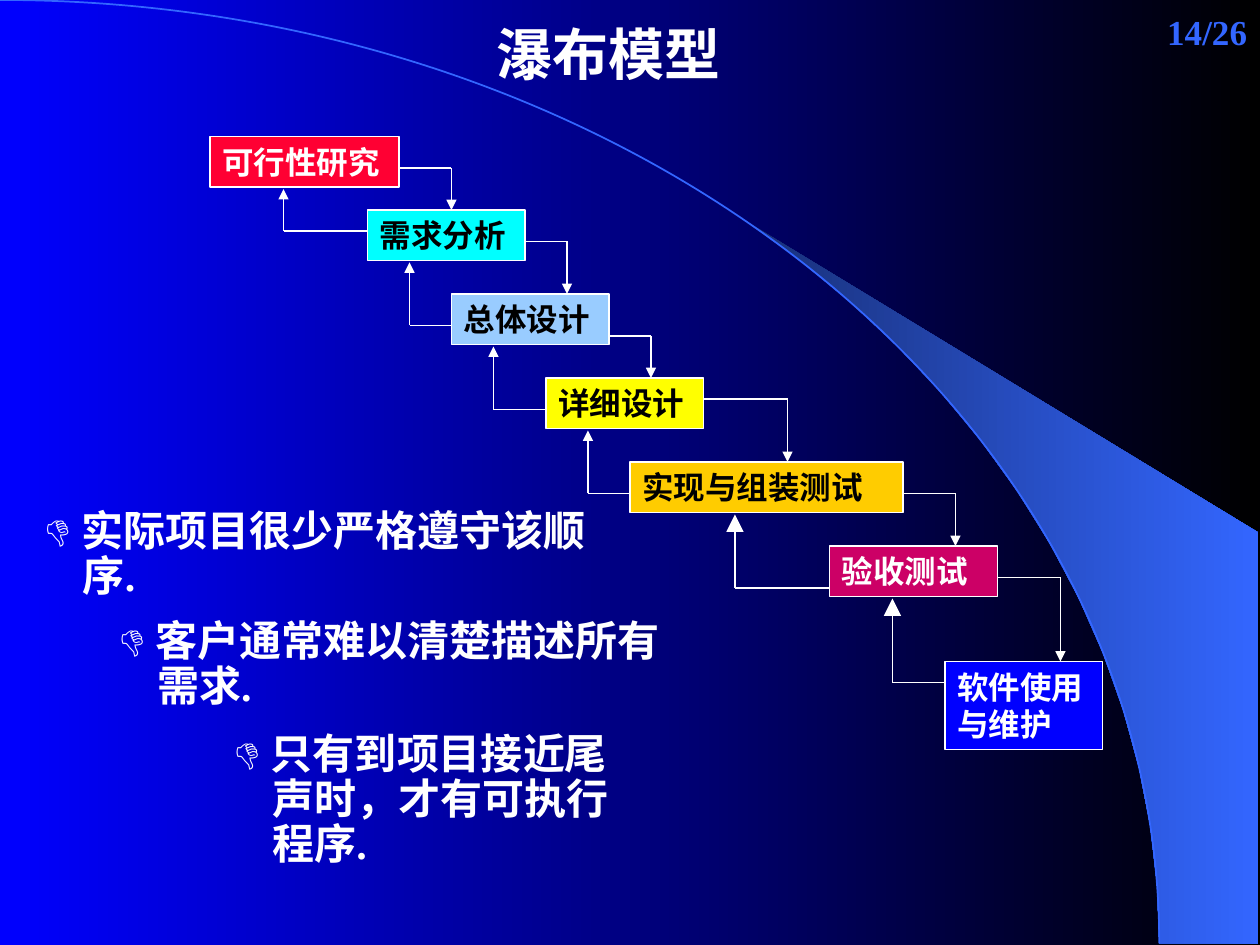
from dataclasses import dataclass
from math import cos, radians, sin

from lxml.etree import SubElement
from pptx import Presentation
from pptx.dml.color import RGBColor
from pptx.enum.shapes import MSO_CONNECTOR, MSO_SHAPE
from pptx.enum.text import MSO_ANCHOR as Anchor, MSO_AUTO_SIZE as AutoSize, PP_ALIGN as Align
from pptx.oxml.ns import qn
from pptx.util import Cm, Pt

COLORS = {
    "white": "FFFFFF", "black": "000000", "blue": "0000FF", "sky": "3366FF",
    "navy": "182F76", "red": "FF0033", "cyan": "00FFFF", "pale": "99CCFF",
    "yellow": "FFFF00", "amber": "FFCC00", "magenta": "CC0066",
}
GRID = 2.54 / 12
ARC_WIDTH, ARC_HEIGHT = 23.37, 19.02
SERIF, SANS = "Times New Roman", "Arial"
INSETS = ("margin_left", "margin_top", "margin_right", "margin_bottom")


@dataclass
class Stage:
    label: str
    column: int
    row: int
    columns: int
    fill: str
    ink: str
    height: float = 1.02


@dataclass
class Link:
    forward_row: int
    forward_column: int
    back_row: int
    back_column: int
    back_head: str = "med"


@dataclass
class Drawback:
    text: str
    left: float
    top: float
    width: float
    height: float


STAGES = [
    Stage("可行性研究", 20, 13, 18, "red", "white"),
    Stage("需求分析", 35, 20, 15, "cyan", "black"),
    Stage("总体设计", 43, 28, 15, "pale", "black"),
    Stage("详细设计", 52, 36, 15, "yellow", "black"),
    Stage("实现与组装测试", 60, 44, 26, "amber", "black"),
    Stage("验收测试", 79, 52, 16, "magenta", "white"),
    Stage("软件使用与维护", 90, 63, 15, "blue", "white", 1.78),
]
LINKS = [
    Link(16, 43, 22, 27),
    Link(23, 54, 31, 39),
    Link(32, 62, 39, 47),
    Link(38, 75, 47, 56),
    Link(47, 91, 56, 70, "lg"),
    Link(55, 101, 65, 85, "lg"),
]
DRAWBACKS = [
    Drawback("实际项目很少严格遵守该顺序.", 0.63, 10.16, 11.43, 2.08),
    Drawback("客户通常难以清楚描述所有需求.", 2.13, 12.37, 11.43, 2.08),
    Drawback("只有到项目接近尾声时，才有可执行程序.", 4.45, 14.65, 8.81, 3),
]


def rgb(name: str) -> RGBColor:
    return RGBColor.from_string(COLORS[name])


def apply(target, formats: dict) -> None:
    for attribute, value in formats.items():
        setattr(target, attribute, value)


def add_run(paragraph, text: str, size: int, face: str, ink: str) -> None:
    run = paragraph.add_run()
    run.text = text
    apply(run.font, {"size": Pt(size), "name": face, "bold": True})
    run.font.color.rgb = rgb(ink)


def add_text_area(slide, left: float, top: float, width: float, height: float, formats: dict):
    area = slide.shapes.add_textbox(Cm(left), Cm(top), Cm(width), Cm(height))
    apply(area.text_frame, {"word_wrap": True, **formats})
    return area.text_frame.paragraphs[0]


def paint_gradient(fill, start: str, end: str) -> None:
    fill.gradient()
    fill.gradient_angle = 0
    for stop, name in zip(fill.gradient_stops, (start, end)):
        stop.color.rgb = rgb(name)


def arc_points(start: float, steps: int) -> list[tuple[int, int]]:
    angles = [radians(start + (90 - start) * step / steps) for step in range(steps + 1)]
    return [(Cm(ARC_WIDTH * sin(a)), Cm(ARC_HEIGHT * (1 - cos(a)))) for a in angles]


def add_outline(slide, points: list[tuple[int, int]], close: bool):
    builder = slide.shapes.build_freeform(*points[0])
    builder.add_line_segments(points[1:], close=close)
    outline = builder.convert_to_shape()
    outline.shadow.inherit = False
    return outline


def bend_into_curve(outline, points: list[tuple[int, int]]) -> None:
    straight = next(outline.element.iter(qn("a:lnTo")))
    route = straight.getparent()
    curve = SubElement(route, qn("a:cubicBezTo"))
    for x, y in points:
        SubElement(curve, qn("a:pt"), x=str(x), y=str(y))
    route.replace(straight, curve)


def add_backdrop(slide) -> None:
    paint_gradient(slide.background.fill, "blue", "black")
    corners = [(Cm(25.37), Cm(ARC_HEIGHT)), (Cm(25.37), Cm(10.74))]
    beam = add_outline(slide, arc_points(39.8, 14) + corners, True)
    paint_gradient(beam.fill, "navy", "sky")
    beam.line.fill.background()
    arc_end = (Cm(ARC_WIDTH), Cm(ARC_HEIGHT))
    horizon = add_outline(slide, [(0, 0), arc_end], False)
    bend_into_curve(horizon, [(Cm(12.9), 0), (Cm(ARC_WIDTH), Cm(8.51)), arc_end])
    horizon.fill.background()
    horizon.line.color.rgb = rgb("sky")
    horizon.line.width = Pt(1)


def add_stage(slide, stage: Stage) -> None:
    box = slide.shapes.add_shape(
        MSO_SHAPE.RECTANGLE, Cm(stage.column * GRID), Cm(stage.row * GRID),
        Cm(stage.columns * GRID), Cm(stage.height))
    box.shadow.inherit = False
    box.fill.solid()
    box.fill.fore_color.rgb = rgb(stage.fill)
    box.line.color.rgb = rgb("white")
    box.line.width = Pt(0.75)
    apply(box.text_frame, {"word_wrap": True, "vertical_anchor": Anchor.TOP,
                           "auto_size": AutoSize.SHAPE_TO_FIT_TEXT})
    paragraph = box.text_frame.paragraphs[0]
    paragraph.alignment = Align.LEFT
    add_run(paragraph, stage.label, 18, SERIF, stage.ink)


def add_segment(slide, start: tuple[int, int], end: tuple[int, int], head: str = "") -> None:
    ends = [Cm(value * GRID) for value in (*start, *end)]
    segment = slide.shapes.add_connector(MSO_CONNECTOR.STRAIGHT, *ends)
    segment.line.color.rgb = rgb("white")
    segment.line.width = Pt(0.75)
    properties = segment.element.spPr
    if head:
        line = properties.find(qn("a:ln"))
        SubElement(line, qn("a:tailEnd"), type="triangle", w=head, len=head)
    SubElement(properties, qn("a:effectLst"))


def add_elbow(slide, start: tuple[int, int], end: tuple[int, int], head: str) -> None:
    corner = (end[0], start[1])
    add_segment(slide, start, corner)
    add_segment(slide, corner, end, head)


def add_link(slide, link: Link, source: Stage, target: Stage) -> None:
    add_elbow(slide, (source.column + source.columns, link.forward_row),
              (link.forward_column, target.row), "med")
    add_elbow(slide, (target.column, link.back_row),
              (link.back_column, source.row + 5), link.back_head)


def add_drawback(slide, drawback: Drawback) -> None:
    paragraph = add_text_area(slide, drawback.left, drawback.top, drawback.width,
                              drawback.height, {"auto_size": AutoSize.SHAPE_TO_FIT_TEXT})
    paragraph.line_spacing = 0.9
    properties = paragraph._p.get_or_add_pPr()
    for key, indent in {"marL": Cm(0.79), "indent": -Cm(0.79)}.items():
        properties.set(key, str(indent))
    add_run(paragraph, "👎 ", 24, SANS, "white")
    add_run(paragraph, drawback.text, 24, SERIF, "white")


def main() -> None:
    deck = Presentation()
    apply(deck, {"slide_width": Cm(25.4), "slide_height": Cm(19.05)})
    slide = deck.slides.add_slide(deck.slide_layouts[6])
    add_backdrop(slide)

    page_number = add_text_area(slide, 20.11, 0, 5.28, 1.27, {"vertical_anchor": Anchor.MIDDLE})
    page_number.alignment = Align.RIGHT
    add_run(page_number, "14/26", 20, SERIF, "sky")
    title = add_text_area(slide, 4.95, 0.4, 14.63, 1.52, dict.fromkeys(INSETS, 0))
    title.alignment = Align.CENTER
    add_run(title, "瀑布模型", 32, SANS, "white")

    for stage in STAGES:
        add_stage(slide, stage)
    for link, source, target in zip(LINKS, STAGES, STAGES[1:]):
        add_link(slide, link, source, target)
    for drawback in DRAWBACKS:
        add_drawback(slide, drawback)
    deck.save("out.pptx")


if __name__ == "__main__":
    main()
